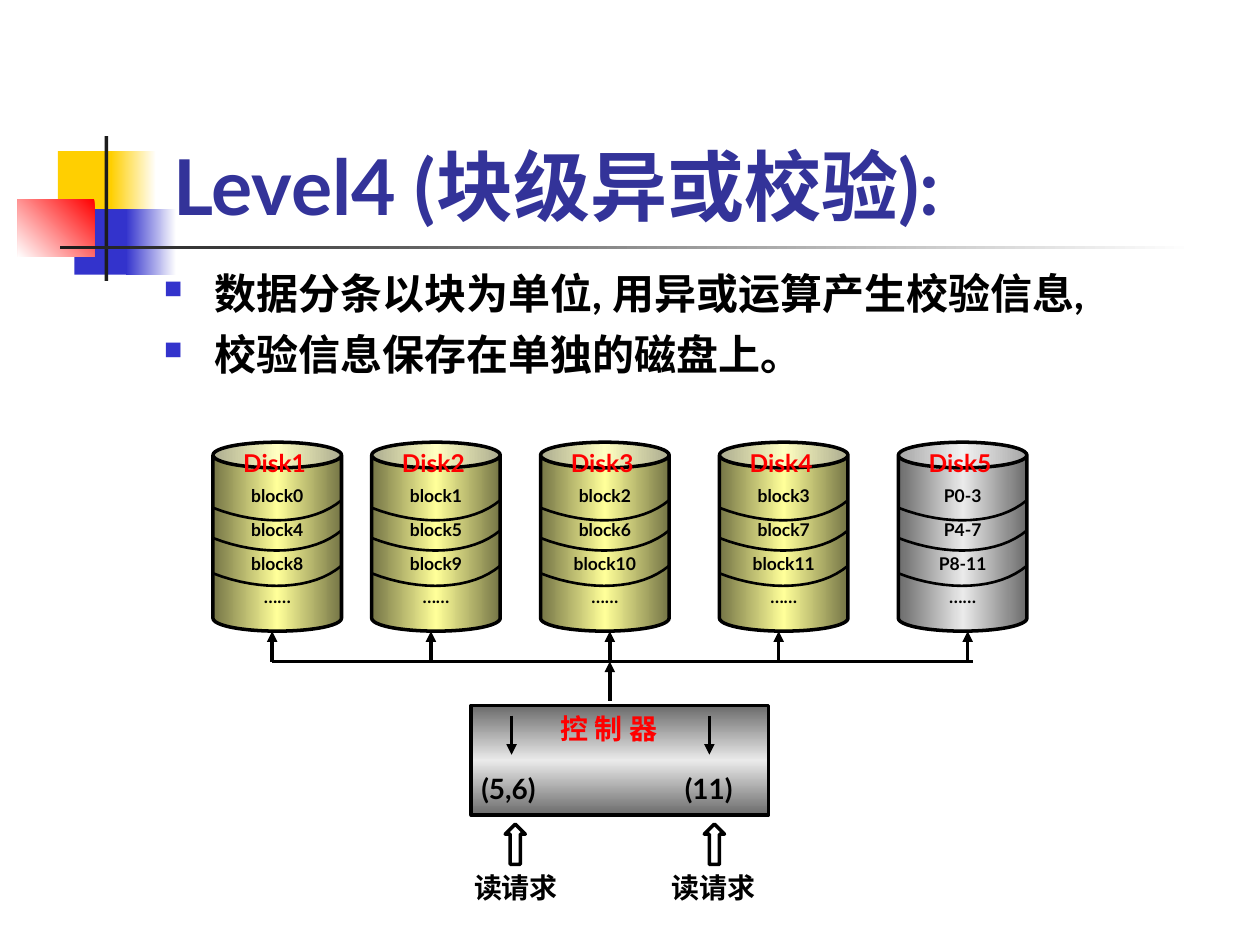
import copy

import pptx
import pptx.dml.color
import pptx.enum.shapes
import pptx.enum.text
import pptx.oxml
import pptx.oxml.ns
import pptx.util
from pptx.util import Inches

# Content
TITLE = "Level4 (块级异或校验):"
POINTS = ["数据分条以块为单位, 用异或运算产生校验信息,", "校验信息保存在单独的磁盘上。"]
DISKS = [  # left edge, name, blocks, gradient
    (1.69, "Disk1", ["block0", "block4", "block8", "……"], "data"),
    (2.95, "Disk2", ["block1", "block5", "block9", "……"], "data"),
    (4.29, "Disk3", ["block2", "block6", "block10", "……"], "data"),
    (5.71, "Disk4", ["block3", "block7", "block11", "……"], "data"),
    (7.13, "Disk5", ["P0-3", "P4-7", "P8-11", "……"], "parity"),
]
CONTROLLER = "控 制 器"
REQUESTS = [  # inner arrow x, block arrow left, number box left, numbers, caption left
    (4.06, 4.01, 3.82, "(5,6)", "left", 3.74),
    (5.63, 5.59, 5.31, "(11)", "center", 5.31),
]
REQUEST_CAPTION = "读请求"

# Look
FONT = "Lato"
COLORS = {
    "white": "FFFFFF", "black": "000000", "red": "FF0000", "yellow": "FFCF01",
    "blue": "3333CC", "title": "333399", "dark": "1C1C1C",
    "olive": "757546", "cream": "FFFF99", "gray": "6B6B6B", "silver": "EAEAEA",
}
GRADIENTS = {"data": ["olive", "cream", "olive"], "parity": ["gray", "silver", "gray"]}
DECORATION = [  # left, top, width, height, colours, clockwise angle
    (0.46, 1.2, 0.48, 0.52, ["yellow"], 0),
    (0.88, 1.2, 0.36, 0.52, ["white", "yellow"], 180),
    (0.59, 1.66, 0.46, 0.52, ["blue"], 0),
    (1, 1.66, 0.4, 0.52, ["white", "blue"], 180),
    (0.14, 1.58, 0.61, 0.46, ["red", "white"], 135),
    (0.83, 1.08, 0.03, 1.15, ["dark"], 0),
    (0.48, 1.95, 9, 0.03, ["white", "dark"], 180),
]
DISK_TOP, DISK_WIDTH, DISK_HEIGHT = 3.51, 1.02, 1.5
ARC_TOPS = [3.97, 4.21, 4.49]
ARC_STEPS = 16
BUS_Y = 5.25
BUS_X = [2.16, 3.42, 4.84, 6.18, 7.68]
BUS_END = 7.72
HUB_X = BUS_X[2]

SHAPE = pptx.enum.shapes.MSO_SHAPE
ALIGN = {"left": pptx.enum.text.PP_ALIGN.LEFT, "center": pptx.enum.text.PP_ALIGN.CENTER}
ANCHOR = pptx.enum.text.MSO_ANCHOR
qn = pptx.oxml.ns.qn

deck = pptx.Presentation()
deck.slide_width, deck.slide_height = Inches(10), Inches(7.5)
page = deck.slides.add_slide(deck.slide_layouts[6])


def rgb(name):
    return pptx.dml.color.RGBColor.from_string(COLORS[name])


def add_xml(parent, tag, **attributes):
    child = parent.makeelement(qn(tag), attributes)
    parent.append(child)
    return child


def paint(shape, colors, angle=0):
    """No colour gives no fill, one a solid fill, more an even gradient."""
    fill = shape.fill
    if not colors:
        fill.background()
    elif len(colors) == 1:
        fill.solid()
        fill.fore_color.rgb = rgb(colors[0])
    else:
        fill.gradient()
        fill.gradient_angle = (360 - angle) % 360
        stop_list = shape._element.spPr.find(".//" + qn("a:gsLst"))
        while len(stop_list) < len(colors):
            stop_list.append(copy.deepcopy(stop_list[0]))
        for i, (stop, color) in enumerate(zip(fill.gradient_stops, colors)):
            stop.position = i / (len(colors) - 1)
            stop.color.rgb = rgb(color)


def outline(shape, width):
    if width:
        shape.line.color.rgb = rgb("black")
        shape.line.width = pptx.util.Pt(width)
    else:
        shape.line.fill.background()


def add_shape(kind, left, top, width, height, colors=(), angle=0, line=2):
    shape = page.shapes.add_shape(kind, Inches(left), Inches(top), Inches(width), Inches(height))
    shape.shadow.inherit = False
    paint(shape, colors, angle)
    outline(shape, line)
    return shape


def add_bullet(para):
    props = para._p.get_or_add_pPr()
    props.set("marL", str(Inches(0.4)))
    props.set("indent", str(-Inches(0.4)))
    add_xml(add_xml(props, "a:buClr"), "a:srgbClr", val=COLORS["blue"])
    add_xml(props, "a:buSzPct", val="60000")
    add_xml(props, "a:buChar", char="■")


def write(frame, lines, size, color="black", align="left", spacing=None, before=None,
          bullet=False, margins=(0, 0, 0, 0), anchor=ANCHOR.TOP, wrap=True):
    frame.word_wrap = wrap
    frame.vertical_anchor = anchor
    (frame.margin_left, frame.margin_top,
     frame.margin_right, frame.margin_bottom) = [Inches(m) for m in margins]
    for i, line in enumerate(lines):
        para = frame.paragraphs[0] if i == 0 else frame.add_paragraph()
        para.text = line
        para.alignment = ALIGN[align]
        if spacing:
            para.line_spacing = spacing
        if before:
            para.space_before = pptx.util.Pt(before)
        if bullet:
            add_bullet(para)
        para.font.name, para.font.bold = FONT, True
        para.font.size = pptx.util.Pt(size)
        para.font.color.rgb = rgb(color)


def add_text(left, top, width, height, lines, size, **style):
    box = page.shapes.add_textbox(Inches(left), Inches(top), Inches(width), Inches(height))
    write(box.text_frame, lines, size, **style)


def add_line(x1, y1, x2, y2, arrow=True):
    line = page.shapes.add_connector(pptx.enum.shapes.MSO_CONNECTOR.STRAIGHT,
                                     Inches(x1), Inches(y1), Inches(x2), Inches(y2))
    outline(line, 2)
    if arrow:
        add_xml(line.line._get_or_add_ln(), "a:tailEnd", type="triangle")
    add_xml(line._element.spPr, "a:effectLst")


def add_arc(left, top):
    """Cubic curve across a disk, a little lower at its left end."""
    xs = [left + DISK_WIDTH * part for part in (1, 0.78, 0.38, 0)]
    ys = [top + drop for drop in (0, 0.19, 0.21, 0.06)]
    points = []
    for step in range(ARC_STEPS + 1):
        t = step / ARC_STEPS
        weights = [(1 - t) ** 3, 3 * t * (1 - t) ** 2, 3 * t * t * (1 - t), t ** 3]
        points.append(tuple(Inches(sum(w * v for w, v in zip(weights, values)))
                            for values in (xs, ys)))
    builder = page.shapes.build_freeform(*points[0])
    builder.add_line_segments(points[1:], close=False)
    arc = builder.convert_to_shape()
    arc.shadow.inherit = False
    paint(arc, [])
    outline(arc, 1.5)


# Corner decoration, title and points
for left, top, width, height, colors, angle in DECORATION:
    add_shape(SHAPE.RECTANGLE, left, top, width, height, colors, angle, line=0)
add_text(1.38, 0.36, 6.5, 1.47, [TITLE], 44, color="title", anchor=ANCHOR.BOTTOM)
add_text(1.3, 2.12, 7.72, 0.88, POINTS, 24, before=6, bullet=True)

# Disks
for left, name, blocks, gradient in DISKS:
    disk = add_shape(SHAPE.CAN, left, DISK_TOP, DISK_WIDTH, DISK_HEIGHT, GRADIENTS[gradient], 180)
    disk.adjustments[0] = 0.2
    write(disk.text_frame, blocks, 10, align="center", spacing=1.6,
          margins=(0.1, 0, 0.1, 0.05), anchor=ANCHOR.MIDDLE, wrap=False)
    add_text(left + 0.24, DISK_TOP + 0.05, 0.55, 0.23, [name], 14, color="red")
    for top in ARC_TOPS:
        add_arc(left, top)

# Bus between controller and disks
for x in BUS_X:
    add_line(x, BUS_Y, x, DISK_TOP + DISK_HEIGHT)
add_line(BUS_X[0], BUS_Y, BUS_END, BUS_Y, arrow=False)
add_line(HUB_X, 5.56, HUB_X, BUS_Y)

# Controller and read requests
add_shape(SHAPE.RECTANGLE, 3.74, 5.6, 2.36, 0.87, GRADIENTS["parity"], 90)
add_text(4.45, 5.65, 0.87, 0.27, [CONTROLLER], 16, color="red")
for arrow_x, block_left, number_left, numbers, align, caption_left in REQUESTS:
    add_line(arrow_x, 5.68, arrow_x, 5.99)
    add_text(number_left, 6.12, 0.63, 0.27, [numbers], 16, align=align)
    add_shape(SHAPE.UP_ARROW, block_left, 6.54, 0.16, 0.32)
    add_text(caption_left, 6.91, 0.71, 0.27, [REQUEST_CAPTION], 16, align="center")

deck.save("out.pptx")
